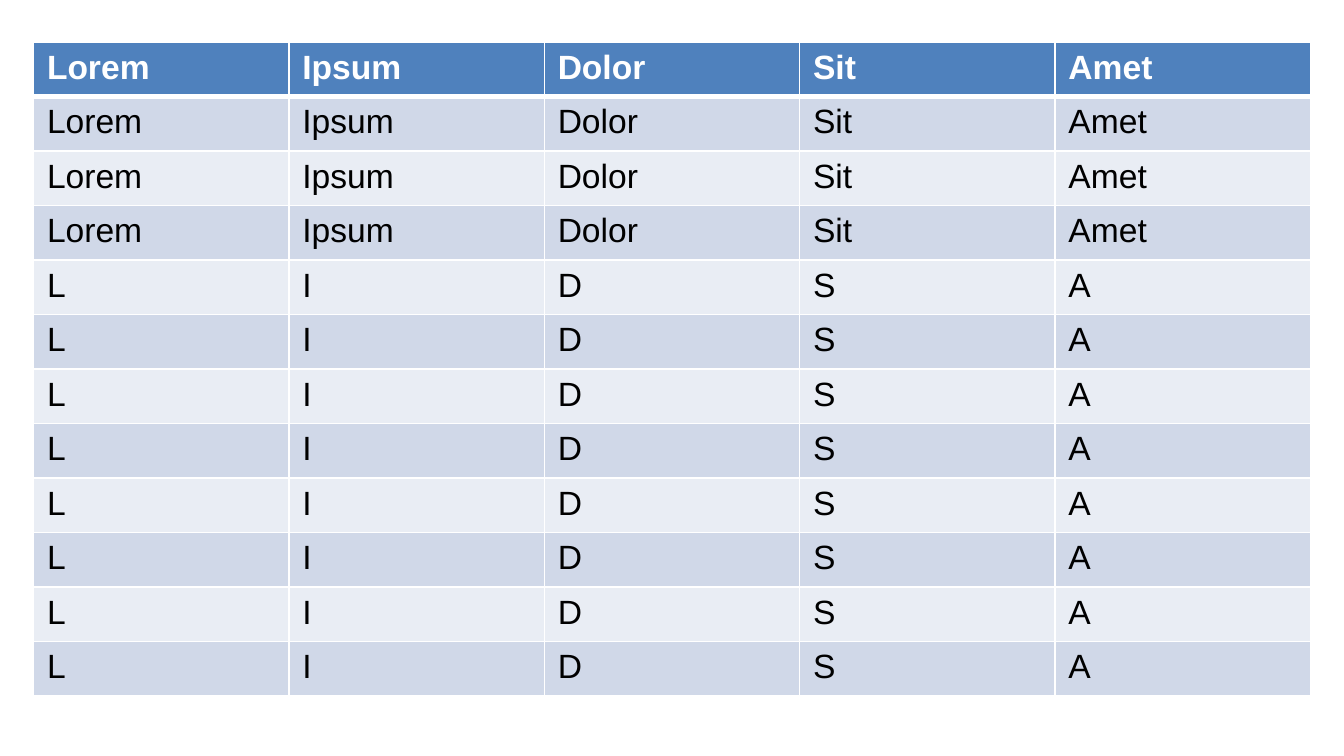
"""Build a slide with one banded table of placeholder words."""
from lxml import etree
from pptx import Presentation
from pptx import util as u
from pptx.dml.color import RGBColor
from pptx.oxml.ns import qn

PX = 5080
SLIDE_WIDTH, SLIDE_HEIGHT = 1800, 1012
LEFT, TOP, COLUMN_WIDTH, ROW_HEIGHT = 45, 56, 342, 73
COLORS = {
    "header": "4F81BD",
    "odd_band": "D0D8E8",
    "even_band": "E9EDF4",
    "border": "FFFFFF",
    "header_text": "FFFFFF",
    "body_text": "000000",
}
WORDS = ["Lorem", "Ipsum", "Dolor", "Sit", "Amet"]
INITIALS = [word[0] for word in WORDS]
ROWS = [WORDS] * 4 + [INITIALS] * 8


def px(length):
    """Turn a length in px into EMU."""
    return u.Emu(length * PX)


def color(name):
    """Return a named colour."""
    return RGBColor.from_string(COLORS[name])


def add_borders(cell, row):
    """Draw the cell's borders, thick between header and body."""
    widths = {"lnL": 1, "lnR": 1, "lnT": 3 if row == 1 else 1, "lnB": 3 if row == 0 else 1}
    properties = cell._tc.get_or_add_tcPr()
    for side, width in widths.items():
        border = etree.SubElement(properties, qn(f"a:{side}"), w=str(u.Pt(width)))
        fill = etree.SubElement(border, qn("a:solidFill"))
        etree.SubElement(fill, qn("a:srgbClr"), val=COLORS["border"])


def fill_cell(cell, row, word):
    """Write and format one cell according to its row."""
    is_header = row == 0
    band = "odd_band" if row % 2 else "even_band"
    add_borders(cell, row)
    cell.fill.solid()
    cell.fill.fore_color.rgb = color("header" if is_header else band)
    cell.text = word
    font = cell.text_frame.paragraphs[0].font
    font.name = "Arial"
    font.size = u.Pt(18)
    font.bold = is_header
    font.color.rgb = color("header_text" if is_header else "body_text")


def add_word_table(slide):
    """Add the table with equal columns and rows."""
    width, height = COLUMN_WIDTH * len(WORDS), ROW_HEIGHT * len(ROWS)
    table = slide.shapes.add_table(
        len(ROWS), len(WORDS), px(LEFT), px(TOP), px(width), px(height)
    ).table
    for row, words in enumerate(ROWS):
        for column, word in enumerate(words):
            fill_cell(table.cell(row, column), row, word)


def main():
    """Build and save the presentation."""
    presentation = Presentation()
    presentation.slide_width = px(SLIDE_WIDTH)
    presentation.slide_height = px(SLIDE_HEIGHT)
    slide = presentation.slides.add_slide(presentation.slide_layouts[6])
    add_word_table(slide)
    presentation.save("out.pptx")


if __name__ == "__main__":
    main()
